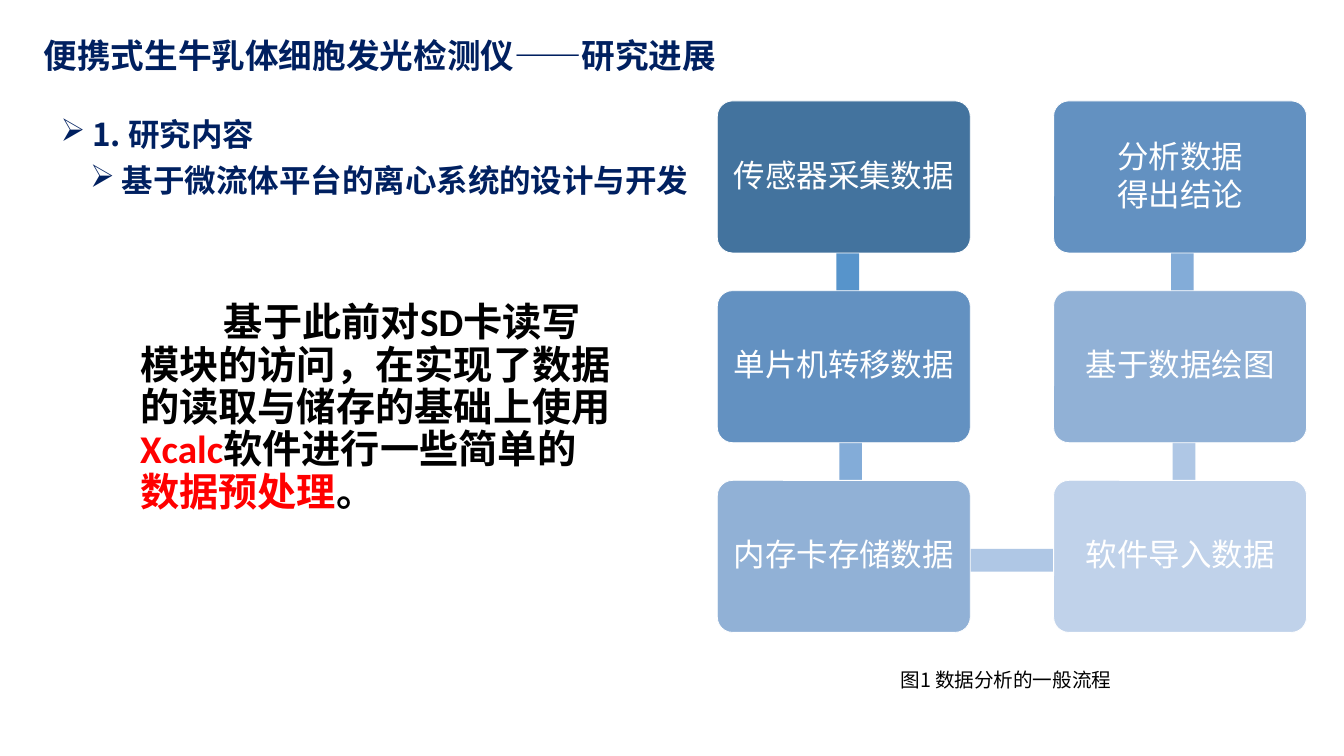
from pptx import Presentation
from pptx.dml.color import RGBColor
from pptx.enum.shapes import MSO_SHAPE
from pptx.enum.text import MSO_ANCHOR, PP_ALIGN
from pptx.oxml.ns import qn
from pptx.util import Inches, Pt

RECT, ROUNDED = MSO_SHAPE.RECTANGLE, MSO_SHAPE.ROUNDED_RECTANGLE
MIDDLE, CENTER = MSO_ANCHOR.MIDDLE, PP_ALIGN.CENTER

CJK, LATIN = "Noto Sans CJK SC", "Calibri"
NAVY = RGBColor(0x00, 0x20, 0x60)
BLACK = RGBColor(0x00, 0x00, 0x00)
RED = RGBColor(0xFF, 0x00, 0x00)
WHITE = RGBColor(0xFF, 0xFF, 0xFF)
DEEP = RGBColor(0x43, 0x73, 0x9E)
STRONG = RGBColor(0x63, 0x91, 0xC1)
MEDIUM = RGBColor(0x91, 0xB1, 0xD6)
PALE = RGBColor(0xC0, 0xD2, 0xEA)
BAR_DEEP = RGBColor(0x57, 0x94, 0xCB)
BAR_MEDIUM = RGBColor(0x83, 0xAC, 0xD8)
BAR_PALE = RGBColor(0xAF, 0xC7, 0xE5)

CARD_W, CARD_H = 4.46, 2.68
COL_PITCH, ROW_PITCH = 5.93, 3.345
BAR = 0.4

# column, row, fill, lines
STEPS = [
    (0, 0, DEEP, ["传感器采集数据"]),
    (0, 1, STRONG, ["单片机转移数据"]),
    (0, 2, MEDIUM, ["内存卡存储数据"]),
    (1, 2, PALE, ["软件导入数据"]),
    (1, 1, MEDIUM, ["基于数据绘图"]),
    (1, 0, STRONG, ["分析数据", "得出结论"]),
]
# left, top, width, height within the flow, fill
BARS = [
    (2.1, 0.68, BAR, 3.33, BAR_DEEP),
    (2.15, 4.12, BAR, 3.33, BAR_MEDIUM),
    (0.88, 7.9, 5.91, BAR, BAR_PALE),
    (8.03, 4.12, BAR, 3.33, BAR_PALE),
    (8.0, 0.7, BAR, 3.33, BAR_MEDIUM),
]
BODY = [
    ("基于此前对SD卡读写模块的访问，在实现了数据的读取与储存的基础上使用", BLACK),
    ("Xcalc", RED),
    ("软件进行一些简单的", BLACK),
    ("数据预处理", RED),
    ("。", BLACK),
]


def add_run(p, text, size, color, bold=False, latin=CJK):
    r = p.add_run()
    r.text = text
    for name, value in {"size": Pt(size), "bold": bold, "name": latin}.items():
        setattr(r.font, name, value)
    r.font.color.rgb = color
    ea = r.font._element.makeelement(qn("a:ea"), {"typeface": CJK})
    r.font._element.find(qn("a:latin")).addnext(ea)


def add_box(slide, box, wrap=True):
    tf = slide.shapes.add_textbox(*map(Inches, box)).text_frame
    tf.word_wrap = wrap
    return tf


def add_line(slide, box, text, size, color, bold):
    add_run(add_box(slide, box, wrap=False).paragraphs[0], text, size, color, bold)


def add_heading(slide, box, text):
    """Navy heading with an arrow bullet."""
    p = add_box(slide, box).paragraphs[0]
    pPr = p._p.get_or_add_pPr()
    pPr.set("marL", str(Inches(0.56)))
    pPr.set("indent", str(Inches(-0.56)))
    pPr.append(pPr.makeelement(qn("a:buChar"), {"char": "➢"}))
    p.line_spacing, p.space_after = 1.3, Pt(10.7)
    add_run(p, text, 40, NAVY, True)


def add_body(slide, box):
    tf = add_box(slide, box)
    tf.margin_left = tf.margin_right = Inches(0.18)
    tf.margin_top = tf.margin_bottom = Inches(0.09)
    p = tf.paragraphs[0]
    p._p.get_or_add_pPr().set("indent", str(Inches(1.48)))
    p.line_spacing = 0.9
    for text, color in BODY:
        add_run(p, text, 49.8, color, True, LATIN)


def add_block(slide, kind, box, fill):
    sp = slide.shapes.add_shape(kind, *map(Inches, box))
    sp.shadow.inherit = False
    sp.fill.solid()
    sp.fill.fore_color.rgb = fill
    sp.line.fill.background()
    return sp


def add_card(slide, box, fill, lines):
    sp = add_block(slide, ROUNDED, box, fill)
    sp.adjustments[0] = 0.1
    sp.line.color.rgb, sp.line.width = WHITE, Pt(1)
    tf = sp.text_frame
    tf.word_wrap, tf.vertical_anchor = True, MIDDLE
    for side in ("left", "right", "top", "bottom"):
        setattr(tf, f"margin_{side}", Inches(0.2))
    for i, text in enumerate(lines):
        p = tf.add_paragraph() if i else tf.paragraphs[0]
        p.alignment, p.line_spacing, p.space_after = CENTER, 0.9, Pt(5)
        add_run(p, text, 40, WHITE)


def add_flow(slide, left, top):
    for x, y, w, h, fill in BARS:
        add_block(slide, RECT, (left + x, top + y, w, h), fill)
    for col, row, fill, lines in STEPS:
        box = (left + col * COL_PITCH, top + row * ROW_PITCH, CARD_W, CARD_H)
        add_card(slide, box, fill, lines)


def main():
    prs = Presentation()
    prs.slide_width, prs.slide_height = Inches(23.7), Inches(13.33)
    slide = prs.slides.add_slide(prs.slide_layouts[6])
    add_body(slide, (2.29, 5.25, 8.74, 4.13))
    add_heading(slide, (0.97, 1.78, 4.17, 0.89), "1. 研究内容")
    add_heading(slide, (1.49, 2.59, 11.05, 0.89), "基于微流体平台的离心系统的设计与开发")
    add_line(slide, (0.67, 0.56, 17.16, 0.82),
             "便携式生牛乳体细胞发光检测仪——研究进展", 42.7, NAVY, True)
    add_flow(slide, 12.65, 1.78)
    add_line(slide, (15.78, 11.73, 4.09, 0.52), "图1 数据分析的一般流程", 24.9, BLACK, False)
    prs.save("out.pptx")


if __name__ == "__main__":
    main()
